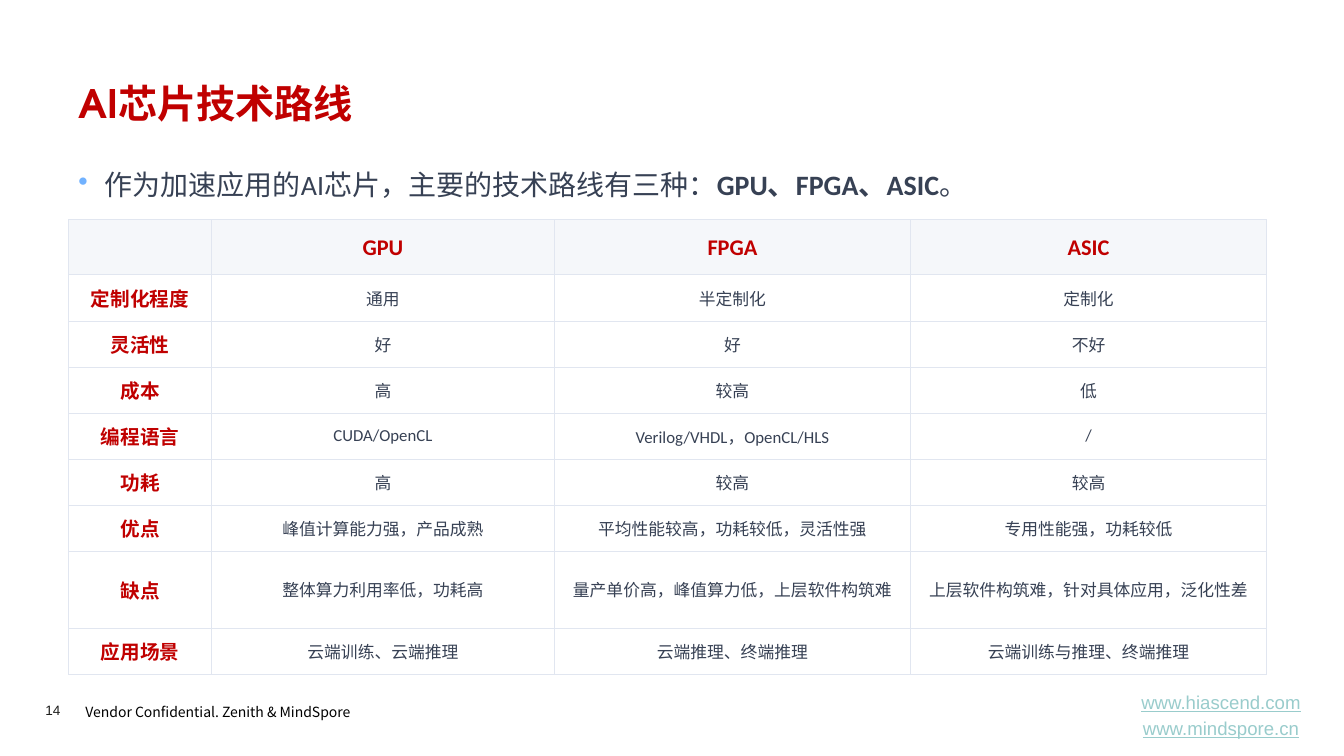
from lxml.etree import SubElement
from pptx import Presentation
from pptx.dml.color import RGBColor
from pptx.enum.text import MSO_ANCHOR, PP_ALIGN
from pptx.oxml.ns import qn
from pptx.util import Pt

RED, INK, GRID = "C00000", "374154", "E1E6F0"
HEAD, WHITE = "F5F7FA", "FFFFFF"
HAN = "Noto Sans CJK SC"
TITLE = dict(name="TeX Gyre Adventor", size=Pt(28), bold=True, tint=RED)
BODY = dict(name="Calibri", size=Pt(20), bold=False, tint=INK)
STRONG = BODY | dict(bold=True)
TOP = dict(name="Calibri", size=Pt(16), bold=True, tint=RED)
SIDE = TOP | dict(size=Pt(14))
CELL = BODY | dict(size=Pt(12))
FOOT = dict(name=HAN, size=Pt(10), tint="000000")
PAGE = dict(name="Arial", size=Pt(9.7), tint="1D1D1B")
SITE = dict(name="Arial", size=Pt(13.3), underline=True, tint="99CCCC")
PADS = dict(margin_left=Pt(5), margin_right=Pt(5),
            margin_top=Pt(4.3), margin_bottom=Pt(4.3))
BARE = dict.fromkeys(PADS, 0)
MID = dict(vertical_anchor=MSO_ANCHOR.MIDDLE)
CENTER = dict(alignment=PP_ALIGN.CENTER)

COLS = [102.2, 245, 254.5, 254.5]
ROWS = [39.4] + [32.9] * 6 + [55, 32.9]
DATA = [
    ["", "GPU", "FPGA", "ASIC"],
    ["定制化程度", "通用", "半定制化", "定制化"],
    ["灵活性", "好", "好", "不好"],
    ["成本", "高", "较高", "低"],
    ["编程语言", "CUDA/OpenCL", "Verilog/VHDL，OpenCL/HLS", "/"],
    ["功耗", "高", "较高", "较高"],
    ["优点", "峰值计算能力强，产品成熟", "平均性能较高，功耗较低，灵活性强",
     "专用性能强，功耗较低"],
    ["缺点", "整体算力利用率低，功耗高", "量产单价高，峰值算力低，上层软件构筑难",
     "上层软件构筑难，针对具体应用，泛化性差"],
    ["应用场景", "云端训练、云端推理", "云端推理、终端推理",
     "云端训练与推理、终端推理"],
]


def color(code):
    return RGBColor.from_string(code)


def apply(item, form):
    for key, value in form.items():
        setattr(item, key, value)


def add_run(para, text, form):
    run = para.add_run()
    run.text = text
    apply(run.font, {k: v for k, v in form.items() if k != "tint"})
    run.font.color.rgb = color(form["tint"])
    SubElement(run.font._element, qn("a:ea"), typeface=HAN)


def add_text(slide, place, lines, look={}, frame={}):
    box = slide.shapes.add_textbox(*map(Pt, place)).text_frame
    apply(box, dict(word_wrap=True) | frame)
    for i, runs in enumerate(lines):
        para = box.add_paragraph() if i else box.paragraphs[0]
        apply(para, look)
        if i:
            para.space_before = Pt(2.7)
        for text, form in runs:
            add_run(para, text, form)
    return box.paragraphs[0]


def add_dot(para, tint):
    props = para._p.get_or_add_pPr()
    props.set("marL", str(Pt(18.7)))
    props.set("indent", str(Pt(-18.7)))
    shade = SubElement(props, qn("a:buClr"))
    SubElement(shade, qn("a:srgbClr"), val=tint)
    SubElement(props, qn("a:buChar"), char="•")


def add_edges(cell):
    props = cell._tc.get_or_add_tcPr()
    for side in "LRTB":
        line = SubElement(props, qn(f"a:ln{side}"), w=str(Pt(0.75)))
        fill = SubElement(line, qn("a:solidFill"))
        SubElement(fill, qn("a:srgbClr"), val=GRID)


def fill_cell(cell, text, form, back):
    apply(cell, PADS | MID)
    add_edges(cell)
    cell.fill.solid()
    cell.fill.fore_color.rgb = color(back)
    para = cell.text_frame.paragraphs[0]
    apply(para, CENTER)
    if text:
        add_run(para, text, form)


def add_grid(slide):
    size = map(Pt, (49, 157, sum(COLS), sum(ROWS)))
    grid = slide.shapes.add_table(len(ROWS), len(COLS), *size).table
    apply(grid, dict(first_row=False, horz_banding=False))
    for col, width in zip(grid.columns, COLS):
        col.width = Pt(width)
    for r, (row, height) in enumerate(zip(grid.rows, ROWS)):
        row.height = Pt(height)
        for c, text in enumerate(DATA[r]):
            form = TOP if r == 0 else SIDE if c == 0 else CELL
            fill_cell(grid.cell(r, c), text, form, WHITE if r else HEAD)


def main():
    deck = Presentation()
    apply(deck, dict(slide_width=Pt(960.48), slide_height=Pt(540)))
    slide = deck.slides.add_slide(deck.slide_layouts[6])
    add_text(slide, (54, 496.8, 225.4, 20.9),
             [[("Vendor Confidential. Zenith & MindSpore", FOOT)]],
             dict(line_spacing=1.2))
    add_text(slide, (32.4, 501.1, 39.6, 11.5), [[("14", PAGE)]], frame=BARE)
    add_text(slide, (794.9, 495.4, 155.5, 31),
             [[("www.hiascend.com", SITE)], [("www.mindspore.cn", SITE)]],
             CENTER, MID)
    add_text(slide, (49, 53.3, 863.3, 46.1), [[("AI芯片技术路线", TITLE)]])
    lead = add_text(slide, (49, 111.6, 863.3, 33.8), [[
        ("作为加速应用的AI芯片，主要的技术路线有三种：", BODY),
        ("GPU、FPGA、ASIC", STRONG), ("。", BODY)]],
        dict(line_spacing=1.2))
    add_dot(lead, "71B2FF")
    add_grid(slide)
    deck.save("out.pptx")


if __name__ == "__main__":
    main()
